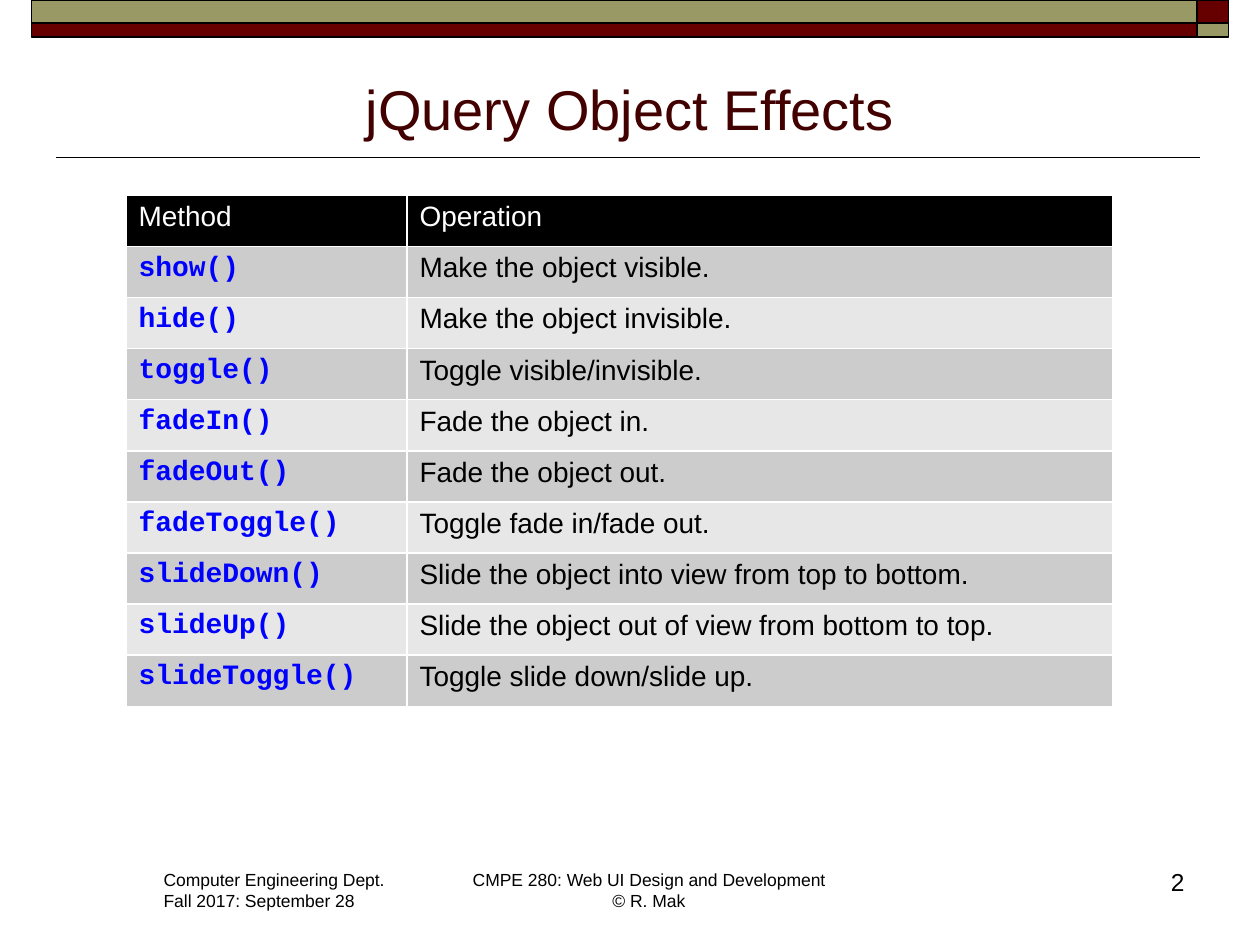
from dataclasses import dataclass

from lxml import etree
from pptx import Presentation
from pptx.dml.color import RGBColor
from pptx.enum.shapes import MSO_CONNECTOR, MSO_SHAPE
from pptx.enum.text import MSO_ANCHOR, PP_ALIGN
from pptx.oxml.ns import qn
from pptx.util import Pt

LEFT, CENTER, RIGHT = PP_ALIGN.LEFT, PP_ALIGN.CENTER, PP_ALIGN.RIGHT
BOTTOM = MSO_ANCHOR.BOTTOM
RECTANGLE = MSO_SHAPE.RECTANGLE
STRAIGHT = MSO_CONNECTOR.STRAIGHT


@dataclass(frozen=True)
class Theme:
    sans: str = "Arial"
    mono: str = "Courier New"
    maroon: str = "660000"
    olive: str = "999966"
    heading: str = "420000"
    ink: str = "000000"
    paper: str = "FFFFFF"
    code: str = "0000FF"
    bands: tuple = ("CCCCCC", "E7E7E7")
    title_size: int = 32
    table_size: int = 16
    number_size: int = 14
    footer_size: int = 10


THEME = Theme()

EFFECTS = [
    ("show()", "Make the object visible."),
    ("hide()", "Make the object invisible."),
    ("toggle()", "Toggle visible/invisible."),
    ("fadeIn()", "Fade the object in."),
    ("fadeOut()", "Fade the object out."),
    ("fadeToggle()", "Toggle fade in/fade out."),
    ("slideDown()", "Slide the object into view from top to bottom."),
    ("slideUp()", "Slide the object out of view from bottom to top."),
    ("slideToggle()", "Toggle slide down/slide up."),
]


def color(code):
    return RGBColor.from_string(code)


def apply(target, formats):
    for attribute, value in formats.items():
        setattr(target, attribute, value)


def write(frame, text, size, ink=THEME.ink, face=THEME.sans, bold=False, align=LEFT):
    frame.text = text
    for paragraph in frame.paragraphs:
        paragraph.alignment = align
        for run in paragraph.runs:
            apply(run.font, {"name": face, "size": Pt(size), "bold": bold})
            run.font.color.rgb = color(ink)


def draw_banner(slide, left, top, width, height):
    corner = 18
    upper = 13
    columns = [(left, width - corner), (left + width - corner, corner)]
    rows = [(top, upper), (top + upper, height - upper)]
    fills = (THEME.olive, THEME.maroon)
    for row, (y, tall) in enumerate(rows):
        for column, (x, wide) in enumerate(columns):
            bar = slide.shapes.add_shape(RECTANGLE, Pt(x), Pt(y), Pt(wide), Pt(tall))
            bar.shadow.inherit = False
            bar.fill.solid()
            bar.fill.fore_color.rgb = color(fills[(row + column) % 2])
            bar.line.color.rgb = color(THEME.ink)
            bar.line.width = Pt(1)


def draw_heading(slide, left, top, width, height):
    title = slide.shapes.title
    apply(title, {"left": Pt(left), "top": Pt(top), "width": Pt(width), "height": Pt(height)})
    title.text_frame.vertical_anchor = BOTTOM
    write(title.text_frame, "jQuery Object Effects", THEME.title_size, THEME.heading, align=CENTER)

    rule_y = Pt(top + height + 5.6)
    rule = slide.shapes.add_connector(
        STRAIGHT, Pt(left - 4), rule_y, Pt(left + width + 2), rule_y
    )
    rule.line.color.rgb = color(THEME.ink)
    rule.line.width = Pt(1)
    etree.SubElement(rule.element.spPr, qn("a:effectLst"))


def border_cell(cell):
    properties = cell._tc.get_or_add_tcPr()
    for position, side in enumerate(("a:lnL", "a:lnR", "a:lnT", "a:lnB")):
        edge = etree.Element(qn(side), w=str(Pt(1)))
        fill = etree.SubElement(edge, qn("a:solidFill"))
        etree.SubElement(fill, qn("a:srgbClr"), val=THEME.paper)
        properties.insert(position, edge)


def draw_effects(slide, left, top, width, height):
    lines = [("Method", "Operation"), *EFFECTS]
    table = slide.shapes.add_table(
        len(lines), 2, Pt(left), Pt(top), Pt(width), Pt(height)
    ).table
    method_width = 160.6
    for column, wide in zip(table.columns, (method_width, width - method_width)):
        column.width = Pt(wide)

    header = {"ink": THEME.paper}
    method = {"ink": THEME.code, "face": THEME.mono, "bold": True}
    for row, texts in enumerate(lines):
        table.rows[row].height = Pt(height / len(lines))
        background = THEME.bands[(row - 1) % 2] if row else THEME.ink
        styles = (method, {}) if row else (header, header)
        for column, (text, style) in enumerate(zip(texts, styles)):
            cell = table.cell(row, column)
            cell.fill.solid()
            cell.fill.fore_color.rgb = color(background)
            border_cell(cell)
            write(cell.text_frame, text, THEME.table_size, **style)


def draw_footer(slide, left, top, width, height):
    notes = [
        (0, 0, 141.8, 31.7, "Computer Engineering Dept.\nFall 2017: September 28",
         THEME.footer_size, LEFT, False),
        (175.7, 0, 217.4, 31.7, "CMPE 280: Web UI Design and Development\v© R. Mak",
         THEME.footer_size, CENTER, False),
        (width - 43.2, -1.4, 43.2, height, "2", THEME.number_size, RIGHT, True),
    ]
    for x, y, wide, tall, text, size, align, wraps in notes:
        note = slide.shapes.add_textbox(Pt(left + x), Pt(top + y), Pt(wide), Pt(tall))
        note.text_frame.word_wrap = wraps
        write(note.text_frame, text, size, align=align)


def main():
    deck = Presentation()
    apply(deck, {"slide_width": Pt(720), "slide_height": Pt(540)})
    slide = deck.slides.add_slide(deck.slide_layouts[5])
    slide.background.fill.solid()
    slide.background.fill.fore_color.rgb = color(THEME.paper)
    draw_banner(slide, 18, 0, 684, 21)
    draw_heading(slide, 36, 32.4, 648, 52)
    draw_effects(slide, 72, 111.6, 563.8, 292)
    draw_footer(slide, 86.4, 493.2, 597.6, 36)
    deck.save("out.pptx")


if __name__ == "__main__":
    main()
